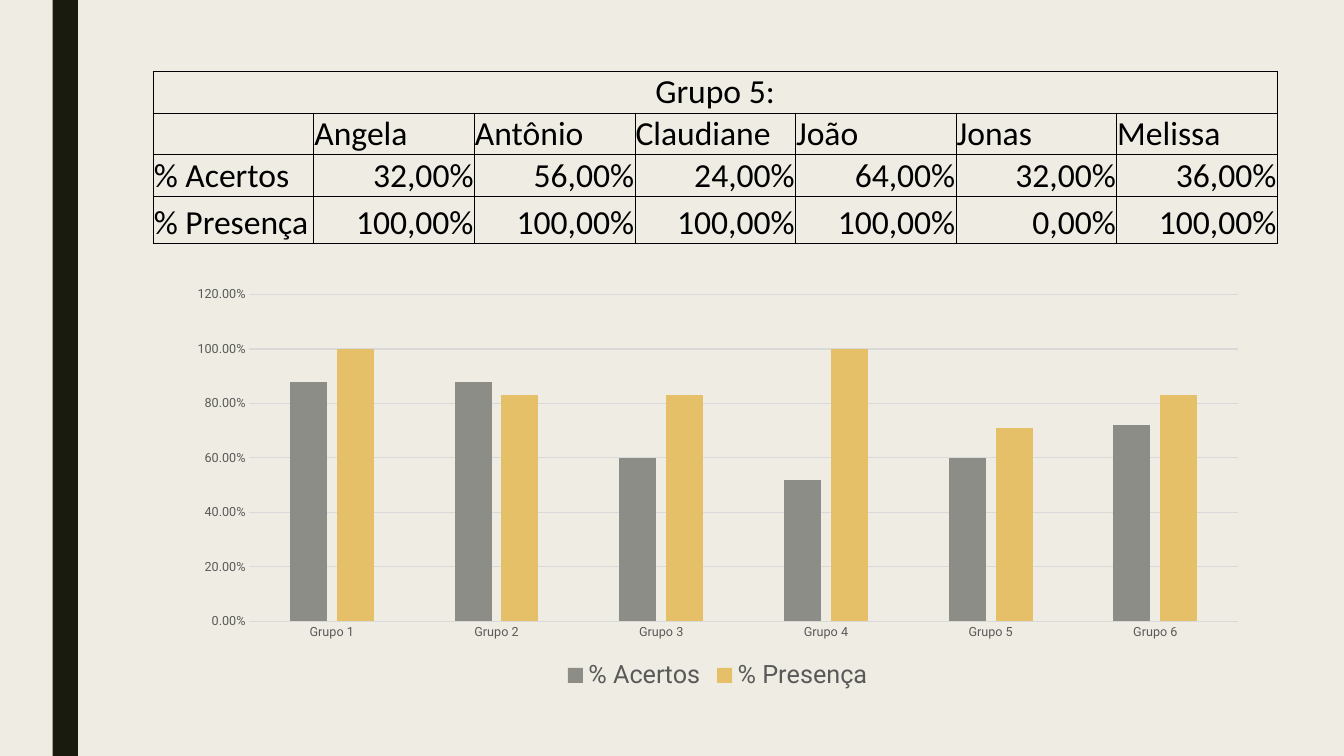
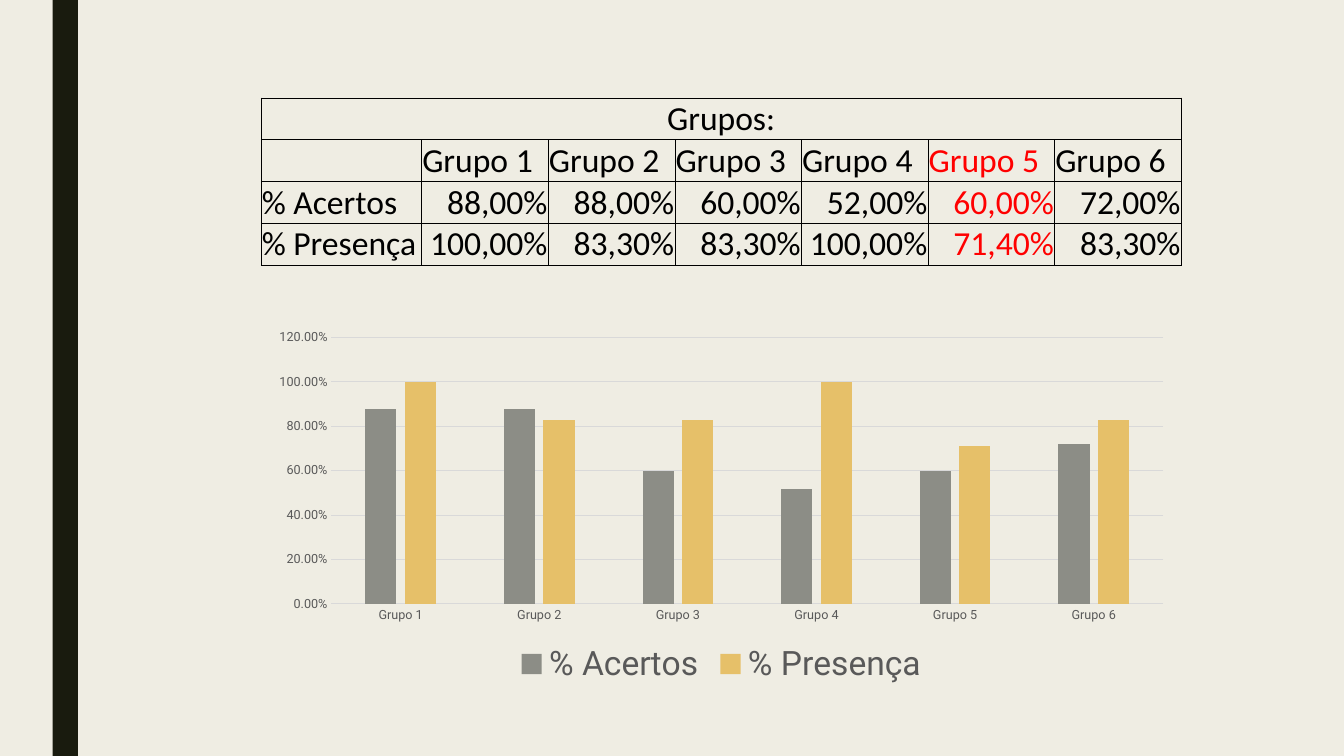
from dataclasses import dataclass
from typing import Optional

from lxml.etree import SubElement
from pptx import Presentation
from pptx.chart.data import CategoryChartData
from pptx.dml.color import RGBColor
from pptx.enum.chart import XL_CHART_TYPE, XL_LEGEND_POSITION, XL_TICK_MARK
from pptx.enum.shapes import MSO_SHAPE
from pptx.enum.text import MSO_ANCHOR, PP_ALIGN
from pptx.oxml import parse_xml
from pptx.oxml.ns import nsdecls, qn
from pptx.util import Pt


# Theme: colours, fonts and type sizes
@dataclass(frozen=True)
class Theme:
    background: str = "EFEDE3"
    band: str = "191B0E"
    text: str = "000000"
    highlight: str = "FF0000"
    chart_text: str = "595959"
    grid: str = "D9D9D9"
    series: tuple[str, ...] = ("8C8D86", "E6C069")
    table_font: str = "Calibri"
    chart_font: str = "Roboto"
    table_size: float = 24
    chart_size: float = 10
    axis_size: float = 9
    border: float = 0.5
    grid_width: float = 0.75


THEME = Theme()


# Content, with all lengths in points
@dataclass(frozen=True)
class Box:
    left: float
    top: float
    width: float
    height: float


@dataclass(frozen=True)
class Scores:
    names: tuple[str, ...]
    hits: tuple[float, ...]
    presence: tuple[float, ...]

    def series(self) -> tuple[tuple[str, tuple[float, ...]], ...]:
        return ("% Acertos", self.hits), ("% Presença", self.presence)


@dataclass(frozen=True)
class ResultSlide:
    title: str
    scores: Scores
    table_at: tuple[float, float]
    label_width: float
    column_width: float
    row_heights: tuple[float, ...]
    chart_box: Box
    legend_size: float
    highlight: Optional[str] = None


BAND = Box(37.6, 0, 18, 540)
GROUPS = Scores(
    names=tuple(f"Grupo {n}" for n in range(1, 7)),
    hits=(0.88, 0.88, 0.6, 0.52, 0.6, 0.72),
    presence=(1, 0.833, 0.833, 1, 0.714, 0.833),
)
MEMBERS = Scores(
    names=("Angela", "Antônio", "Claudiane", "João", "Jonas", "Melissa"),
    hits=(0.32, 0.56, 0.24, 0.64, 0.32, 0.36),
    presence=(1, 1, 1, 1, 0, 1),
)
SLIDES = (
    ResultSlide("Grupo 5:", MEMBERS, (109.4, 50.8), 114.7, 114.7, (29.8, 29.8, 29.8, 33.6),
                Box(125.6, 199.2, 774, 297.4), 18),
    ResultSlide("Grupos:", GROUPS, (186.5, 70), 114.7, 90.45, (29.8,) * 4,
                Box(186.5, 230.6, 657.4, 262.8), 24, highlight="Grupo 5"),
)


def rgb(color: str) -> RGBColor:
    return RGBColor.from_string(color)


def set_font(font, name: str, size: float, color: str) -> None:
    font.name, font.size = name, Pt(size)
    font.color.rgb = rgb(color)


# Background and side band
def set_background(prs) -> None:
    fill = prs.slide_master.background.fill
    fill.solid()
    fill.fore_color.rgb = rgb(THEME.background)


def add_band(slide) -> None:
    sp = slide.shapes.add_shape(MSO_SHAPE.RECTANGLE, Pt(BAND.left), Pt(BAND.top),
                                Pt(BAND.width), Pt(BAND.height))
    sp.shadow.inherit = False
    sp.fill.solid()
    sp.fill.fore_color.rgb = rgb(THEME.band)
    sp.line.fill.background()


# Table
def set_borders(cell) -> None:
    tc_pr = cell._tc.get_or_add_tcPr()
    for i, side in enumerate("LRTB"):
        ln = parse_xml(f'<a:ln{side} {nsdecls("a")} w="{Pt(THEME.border)}"/>')
        fill = SubElement(ln, qn("a:solidFill"))
        SubElement(fill, qn("a:srgbClr"), val=THEME.text)
        tc_pr.insert(i, ln)


def write_cell(cell, text: str, align: PP_ALIGN, color: str) -> None:
    cell.margin_left = cell.margin_right = cell.margin_top = Pt(0.5)
    cell.margin_bottom = Pt(0)
    cell.vertical_anchor = MSO_ANCHOR.BOTTOM
    cell.fill.background()
    set_borders(cell)
    p = cell.text_frame.paragraphs[0]
    p.text, p.alignment = text, align
    set_font(p.font, THEME.table_font, THEME.table_size, color)


def add_score_table(slide, item: ResultSlide) -> None:
    names = item.scores.names
    rows = [[item.title] + [""] * len(names), ["", *names]]
    for label, values in item.scores.series():
        rows.append([label] + [f"{v:.2%}".replace(".", ",") for v in values])
    widths = [item.label_width] + [item.column_width] * len(names)
    left, top = item.table_at
    table = slide.shapes.add_table(len(rows), len(widths), Pt(left), Pt(top),
                                   Pt(sum(widths)), Pt(sum(item.row_heights))).table
    table.first_row = table.horz_banding = False
    for column, width in zip(table.columns, widths):
        column.width = Pt(width)
    for row, height in zip(table.rows, item.row_heights):
        row.height = Pt(height)
    for r, texts in enumerate(rows):
        for c, text in enumerate(texts):
            if r == 0:
                align = PP_ALIGN.CENTER
            else:
                align = PP_ALIGN.RIGHT if r > 1 and c > 0 else PP_ALIGN.LEFT
            marked = item.highlight is not None and rows[1][c] == item.highlight
            write_cell(table.cell(r, c), text, align,
                       THEME.highlight if marked else THEME.text)
    table.cell(0, 0).merge(table.cell(0, len(names)))


# Chart
def set_line(line) -> None:
    line.color.rgb = rgb(THEME.grid)
    line.width = Pt(THEME.grid_width)


def add_group_chart(slide, item: ResultSlide) -> None:
    data = CategoryChartData(number_format="0.00%")
    data.categories = GROUPS.names
    for name, values in GROUPS.series():
        data.add_series(name, [round(v, 2) for v in values])
    box = item.chart_box
    chart = slide.shapes.add_chart(XL_CHART_TYPE.COLUMN_CLUSTERED, Pt(box.left), Pt(box.top),
                                   Pt(box.width), Pt(box.height), data).chart
    set_font(chart.font, THEME.chart_font, THEME.chart_size, THEME.text)
    chart.has_title = False

    plot = chart.plots[0]
    plot.gap_width, plot.overlap = 219, -27
    plot.vary_by_categories = False
    for series, color in zip(plot.series, THEME.series):
        series.format.fill.solid()
        series.format.fill.fore_color.rgb = rgb(color)

    for axis in (chart.category_axis, chart.value_axis):
        axis.major_tick_mark = axis.minor_tick_mark = XL_TICK_MARK.NONE
        set_font(axis.tick_labels.font, THEME.chart_font, THEME.axis_size, THEME.chart_text)
    set_line(chart.category_axis.format.line)
    value_axis = chart.value_axis
    value_axis.minimum_scale, value_axis.maximum_scale, value_axis.major_unit = 0, 1.2, 0.2
    value_axis.tick_labels.number_format = "0.00%"
    value_axis.tick_labels.number_format_is_linked = False
    value_axis.format.line.fill.background()
    set_line(value_axis.major_gridlines.format.line)

    chart.has_legend = True
    chart.legend.position = XL_LEGEND_POSITION.BOTTOM
    chart.legend.include_in_layout = False
    set_font(chart.legend.font, THEME.chart_font, item.legend_size, THEME.chart_text)


def main() -> None:
    prs = Presentation()
    prs.slide_width, prs.slide_height = Pt(960), Pt(540)
    set_background(prs)
    blank = prs.slide_layouts.get_by_name("Blank")
    for item in SLIDES:
        slide = prs.slides.add_slide(blank)
        add_band(slide)
        add_score_table(slide, item)
        add_group_chart(slide, item)
    prs.save("out.pptx")


if __name__ == "__main__":
    main()
